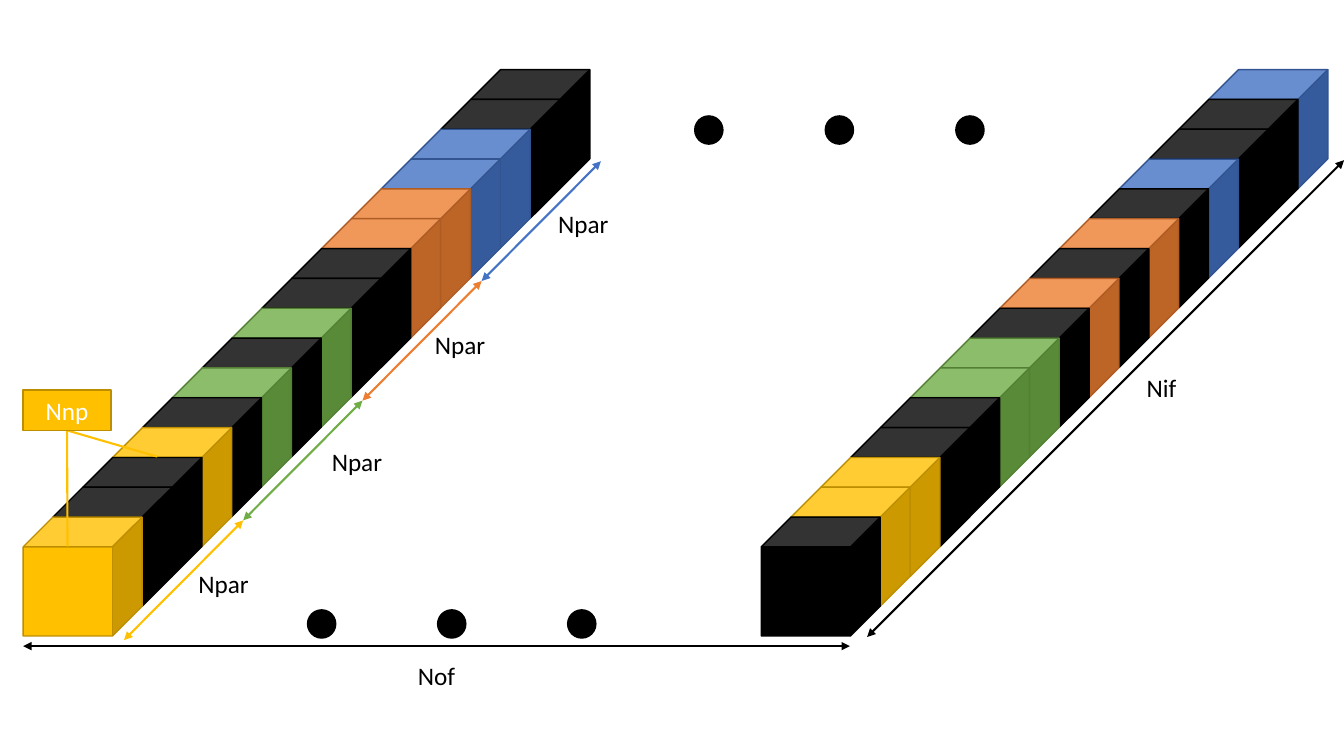
from pptx import Presentation
from pptx.dml.color import RGBColor
from pptx.enum.shapes import MSO_CONNECTOR, MSO_SHAPE
from pptx.enum.text import MSO_ANCHOR, MSO_AUTO_SIZE, PP_ALIGN
from pptx.oxml.ns import qn
from pptx.util import Inches, Pt
from lxml.etree import SubElement

BLACK = RGBColor(0x00, 0x00, 0x00)
WHITE = RGBColor(0xFF, 0xFF, 0xFF)
GOLD = RGBColor(0xFF, 0xC0, 0x00)
GREEN = RGBColor(0x70, 0xAD, 0x47)
ORANGE = RGBColor(0xED, 0x7D, 0x31)
BLUE = RGBColor(0x44, 0x72, 0xC4)
EDGES = {
    BLACK: BLACK,
    GOLD: RGBColor(0xBD, 0x8E, 0x00),
    GREEN: RGBColor(0x53, 0x80, 0x35),
    ORANGE: RGBColor(0xAF, 0x5C, 0x24),
    BLUE: RGBColor(0x32, 0x54, 0x91),
}
HUES = {"k": BLACK, "y": GOLD, "g": GREEN, "o": ORANGE, "b": BLUE}
CUBE = 1.18
DOT = 0.28


def add_form(slide, kind, box, color):
    """Add a filled preset shape with its darker edge."""
    form = slide.shapes.add_shape(kind, *map(Inches, box))
    form.shadow.inherit = False
    form.fill.solid()
    form.fill.fore_color.rgb = color
    form.line.color.rgb = EDGES[color]
    form.line.width = Pt(1)
    return form


def add_line(slide, start, end, color, heads=True):
    """Add a straight line, with arrowheads at both ends if wanted."""
    line = slide.shapes.add_connector(
        MSO_CONNECTOR.STRAIGHT, *map(Inches, (*start, *end)))
    line.line.color.rgb = color
    line.line.width = Pt(1.5)
    props = line._element.spPr
    if heads:
        for tag in ("a:headEnd", "a:tailEnd"):
            SubElement(props.find(qn("a:ln")), qn(tag), type="triangle")
    SubElement(props, qn("a:effectLst"))


def set_text(form, text, color=BLACK, align=PP_ALIGN.LEFT, anchor=MSO_ANCHOR.TOP):
    """Write one line of formatted text into a shape."""
    frame = form.text_frame
    part = frame.paragraphs[0]
    run = part.add_run()
    run.text = text
    run.font.color.rgb = color
    styles = (
        (frame, {"word_wrap": True, "auto_size": MSO_AUTO_SIZE.SHAPE_TO_FIT_TEXT,
                 "vertical_anchor": anchor}),
        (part, {"alignment": align}),
        (run.font, {"name": "Calibri", "size": Pt(18)}),
    )
    for item, style in styles:
        for name, value in style.items():
            setattr(item, name, value)


def add_label(slide, box, text, **style):
    """Add a text box."""
    set_text(slide.shapes.add_textbox(*map(Inches, box)), text, **style)


def draw_row(slide, box, codes):
    """Stack cubes from the far top right to the near bottom left."""
    left, top, width, height = box
    last = len(codes) - 1
    for i, code in enumerate(codes):
        x = left + (width - CUBE) * (last - i) / last
        y = top + (height - CUBE) * i / last
        add_form(slide, MSO_SHAPE.CUBE, (x, y, CUBE, CUBE), HUES[code])


def draw_dots(slide, box):
    """Spread three dots over the width of the box."""
    left, top, width, _ = box
    for i in range(3):
        x = left + (width - DOT) * i / 2
        add_form(slide, MSO_SHAPE.OVAL, (x, top, DOT, DOT), BLACK)


def draw_width(slide, box):
    """Draw the level span with its label below."""
    left, top, width, height = box
    add_line(slide, (left, top), (left + width, top), BLACK)
    add_label(slide, (left, top + 0.09, width, height - 0.09), "Nof",
              align=PP_ALIGN.CENTER)


def draw_depth(slide, box):
    """Draw the slanted span with its label at the right."""
    left, top, width, height = box
    add_line(slide, (left, top + height), (left + width, top), BLACK)
    add_label(slide, (left + 2.18, top + 2.05, 1.48, 0.4), "Nif",
              align=PP_ALIGN.CENTER, anchor=MSO_ANCHOR.MIDDLE)


def draw_groups(slide, box):
    """Split the slanted edge into four equal labelled spans."""
    left, top, width, height = box
    groups = ((GOLD, 0.64, 0.43), (GREEN, 0.78, 0.4),
              (ORANGE, 0.62, 0.43), (BLUE, 0.66, 0.42))
    wide, high = width / len(groups), height / len(groups)
    for i, (color, right, down) in enumerate(groups):
        x, y = left + wide * i, top + height - high * (i + 1)
        add_line(slide, (x, y + high), (x + wide, y), color)
        add_label(slide, (x + right, y + down, 0.94, 0.4), "Npar")


def draw_callout(slide, box):
    """Draw the tag and its lines to two cubes."""
    left, top, width, height = box
    base = (left + width / 2, top + height)
    for right, down in ((0.44, 1.55), (1.33, 0.66)):
        add_line(slide, (left + right, top + down), base, GOLD, heads=False)
    tag = add_form(slide, MSO_SHAPE.RECTANGLE, box, GOLD)
    set_text(tag, "Nnp", color=WHITE, align=PP_ALIGN.CENTER,
             anchor=MSO_ANCHOR.TOP)


def main():
    """Build and save the slide."""
    deck = Presentation()
    deck.slide_width, deck.slide_height = Inches(13.33), Inches(7.5)
    slide = deck.slides.add_slide(deck.slide_layouts[6])
    draw_row(slide, (0.23, 0.69, 5.62, 5.62), "kkbbookkgkgkykky")
    draw_row(slide, (7.55, 0.69, 5.62, 5.62), "bkkbkokokggkkyyk")
    draw_width(slide, (0.23, 6.41, 8.2, 0.5))
    draw_depth(slide, (8.6, 1.59, 4.73, 4.73))
    draw_dots(slide, (6.89, 1.15, 2.87, DOT))
    draw_dots(slide, (3.05, 6.05, 2.86, DOT))
    draw_groups(slide, (1.23, 1.6, 4.73, 4.75))
    draw_callout(slide, (0.23, 3.87, 0.87, 0.4))
    deck.save("out.pptx")


main()
